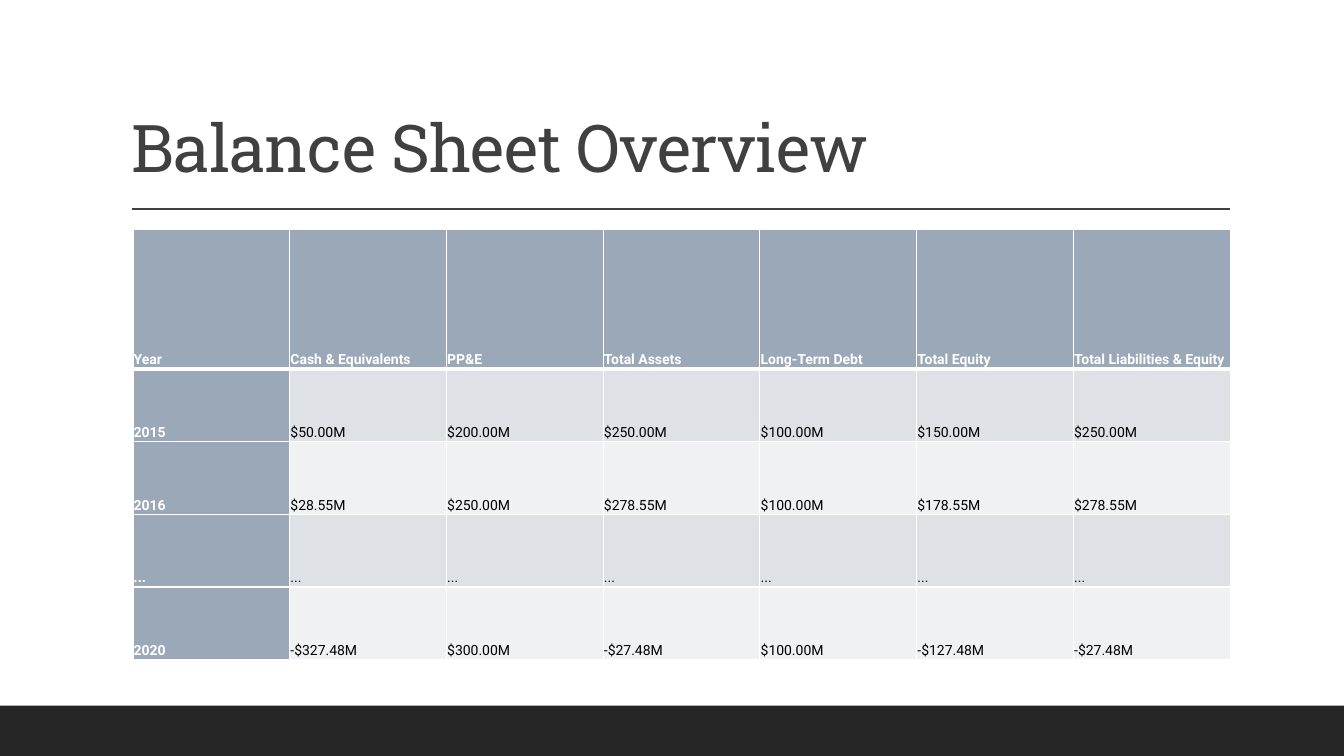
from lxml import etree
from pptx import Presentation
from pptx.dml.color import RGBColor
from pptx.enum.shapes import MSO_CONNECTOR, MSO_SHAPE
from pptx.enum.text import MSO_ANCHOR, MSO_AUTO_SIZE, PP_ALIGN
from pptx.oxml.ns import qn
from pptx.util import Cm, Pt

RECTANGLE = MSO_SHAPE.RECTANGLE
STRAIGHT = MSO_CONNECTOR.STRAIGHT
BOTTOM = MSO_ANCHOR.BOTTOM
LEFT = PP_ALIGN.LEFT
JUSTIFY = PP_ALIGN.JUSTIFY
NO_AUTOFIT = MSO_AUTO_SIZE.NONE

WHITE = RGBColor(0xFF, 0xFF, 0xFF)
BLACK = RGBColor(0x00, 0x00, 0x00)
FOOTER_DARK = RGBColor(0x26, 0x26, 0x26)
TITLE_GREY = RGBColor(0x40, 0x40, 0x40)
HEADER_BLUE = RGBColor(0x9B, 0xA8, 0xB7)
BAND_DARK = RGBColor(0xDE, 0xE1, 0xE6)
BAND_LIGHT = RGBColor(0xEF, 0xF1, 0xF3)

TITLE_FONT = "Roboto Slab"
TABLE_FONT = "Roboto"
TITLE_ONLY = 5
SLIDE_WIDTH = Cm(33.87)
SLIDE_HEIGHT = Cm(19.05)
COLUMN_WIDTH = Cm(3.95)
HEADER_HEIGHT = Cm(3.53)
YEAR_HEIGHT = Cm(1.83)
CELL_INSET = Cm(0.02)

BALANCE_SHEET = [
    ["Year", "Cash & Equivalents", "PP&E", "Total Assets", "Long-Term Debt",
     "Total Equity", "Total Liabilities & Equity"],
    ["2015", "$50.00M", "$200.00M", "$250.00M", "$100.00M", "$150.00M", "$250.00M"],
    ["2016", "$28.55M", "$250.00M", "$278.55M", "$100.00M", "$178.55M", "$278.55M"],
    ["..."] * 7,
    ["2020", "-$327.48M", "$300.00M", "-$27.48M", "$100.00M", "-$127.48M", "-$27.48M"],
]


def style_text(paragraph, font_name, size, color, bold=False):
    """Format every run of a paragraph."""
    for run in paragraph.runs:
        run.font.name = font_name
        run.font.size = Pt(size)
        run.font.color.rgb = color
        run.font.bold = bold


def add_footer_band(slide):
    """Add the dark band along the bottom edge."""
    band_height = Cm(1.27)
    band = slide.shapes.add_shape(
        RECTANGLE, 0, SLIDE_HEIGHT - band_height, SLIDE_WIDTH, band_height)
    band.shadow.inherit = False
    band.fill.solid()
    band.fill.fore_color.rgb = FOOTER_DARK
    band.line.fill.background()


def add_title_rule(slide):
    """Add the thin line under the title."""
    rule_y = Cm(5.27)
    rule = slide.shapes.add_connector(STRAIGHT, Cm(3.32), rule_y, Cm(31), rule_y)
    rule.line.color.rgb = TITLE_GREY
    rule.line.width = Pt(1)
    etree.SubElement(rule._element.spPr, qn("a:effectLst"))


def set_title(slide, text):
    """Place and format the title placeholder."""
    title = slide.shapes.title
    title.left, title.top, title.width, title.height = Cm(3.05), Cm(0.79), Cm(27.94), Cm(4.04)
    frame = title.text_frame
    frame.text = text
    frame.auto_size = NO_AUTOFIT
    frame.word_wrap = True
    frame.vertical_anchor = BOTTOM
    heading = frame.paragraphs[0]
    heading.alignment = LEFT
    heading.line_spacing = 0.9
    style_text(heading, TITLE_FONT, 47, TITLE_GREY)
    heading.runs[0].font._element.set("spc", "-50")


def set_borders(cell, top, bottom):
    """Draw white cell borders with the given top and bottom widths in points."""
    properties = cell._tc.get_or_add_tcPr()
    widths = {"a:lnL": 1, "a:lnR": 1, "a:lnT": top, "a:lnB": bottom}
    for position, (tag, width) in enumerate(widths.items()):
        border = etree.Element(qn(tag), w=str(Pt(width)))
        fill = etree.SubElement(border, qn("a:solidFill"))
        etree.SubElement(fill, qn("a:srgbClr"), val=str(WHITE))
        properties.insert(position, border)


def fill_cell(cell, text, row, column):
    """Write one table cell and style it by its place in the grid."""
    is_heading = row == 0 or column == 0
    band = BAND_DARK if row % 2 else BAND_LIGHT
    cell.fill.solid()
    cell.fill.fore_color.rgb = HEADER_BLUE if is_heading else band
    cell.vertical_anchor = BOTTOM
    cell.margin_left = cell.margin_right = CELL_INSET
    cell.margin_top = cell.margin_bottom = CELL_INSET
    cell.text_frame.text = text
    entry = cell.text_frame.paragraphs[0]
    entry.alignment = JUSTIFY
    entry.line_spacing = 1.07
    entry.space_after = Pt(8)
    style_text(entry, TABLE_FONT, 10, WHITE if is_heading else BLACK, is_heading)
    set_borders(cell, top=3 if row == 1 else 1, bottom=3 if row == 0 else 1)


def add_balance_table(slide, rows):
    """Add the balance sheet table."""
    row_count, column_count = len(rows), len(rows[0])
    table = slide.shapes.add_table(
        row_count, column_count, Cm(3.35), Cm(5.77), COLUMN_WIDTH * column_count,
        HEADER_HEIGHT + YEAR_HEIGHT * (row_count - 1)).table
    table.first_col = True
    for column in table.columns:
        column.width = COLUMN_WIDTH
    for row, values in enumerate(rows):
        table.rows[row].height = YEAR_HEIGHT if row else HEADER_HEIGHT
        for column, text in enumerate(values):
            fill_cell(table.cell(row, column), text, row, column)


def main():
    """Build and save the balance sheet slide."""
    deck = Presentation()
    deck.slide_width = SLIDE_WIDTH
    deck.slide_height = SLIDE_HEIGHT
    slide = deck.slides.add_slide(deck.slide_layouts[TITLE_ONLY])
    add_footer_band(slide)
    add_title_rule(slide)
    set_title(slide, "Balance Sheet Overview")
    add_balance_table(slide, BALANCE_SHEET)
    deck.save("out.pptx")


if __name__ == "__main__":
    main()
